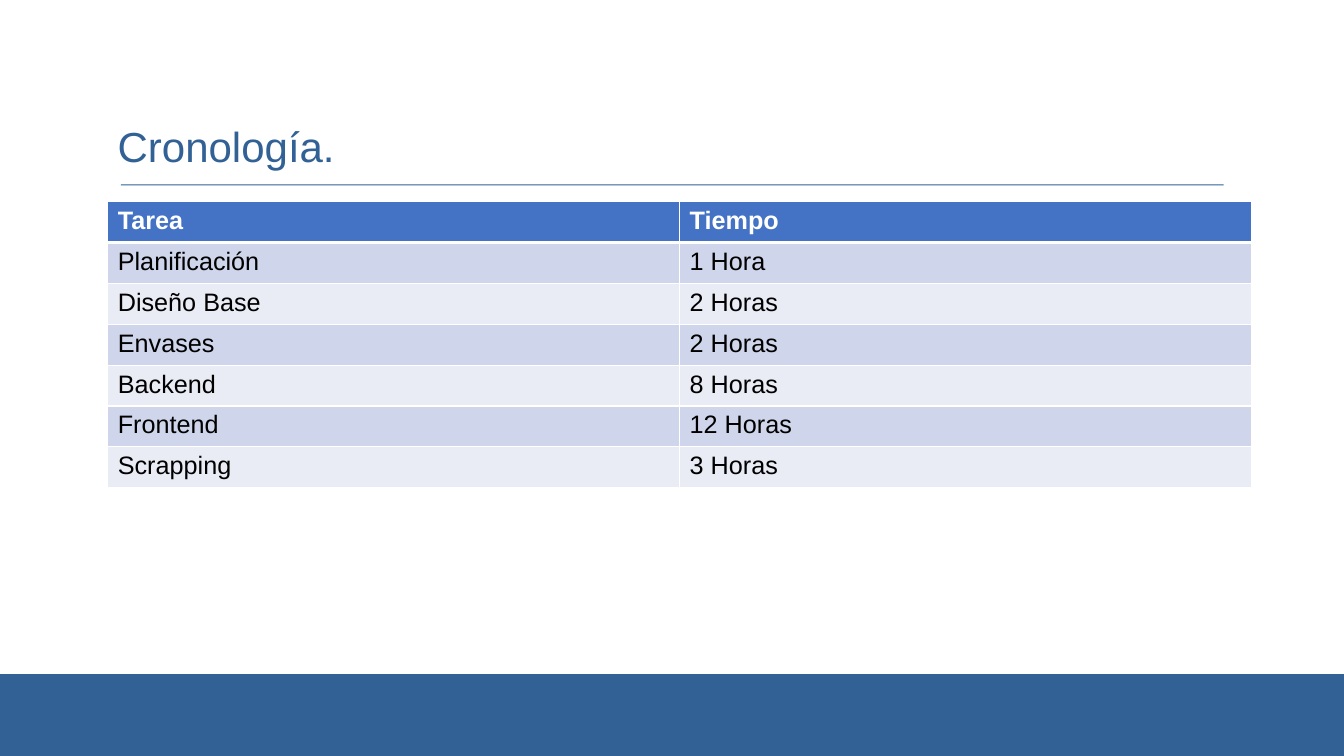
from typing import NamedTuple

from lxml.etree import SubElement
from pptx import Presentation
from pptx.dml.color import RGBColor
from pptx.enum.shapes import MSO_SHAPE as Shape
from pptx.enum.text import MSO_ANCHOR as Anchor
from pptx.oxml.ns import qn
from pptx.util import Pt

FONT = "Arial"
BLUE = "326195"
WHITE = "FFFFFF"
HEAD = "4472C4"
BANDS = ("CFD5EA", "E9EBF5")


class Box(NamedTuple):
    left: float
    top: float
    width: float
    height: float

    def pts(self):
        return [Pt(n) for n in self]


class Task(NamedTuple):
    name: str
    time: str


FOOTER = Box(0, 481.6, 960, 58.4)
RULE = Box(86.4, 131.7, 787.7, 0.8)
TITLE = Box(77, 43.9, 816.5, 82.1)
GRID = Box(77, 144, 817, 204.4)

TASKS = [
    Task("Tarea", "Tiempo"),
    Task("Planificación", "1 Hora"),
    Task("Diseño Base", "2 Horas"),
    Task("Envases", "2 Horas"),
    Task("Backend", "8 Horas"),
    Task("Frontend", "12 Horas"),
    Task("Scrapping", "3 Horas"),
]


def color(code: str) -> RGBColor:
    return RGBColor.from_string(code)


def style(par, size: float, code: str, bold: bool = False) -> None:
    for run in par.runs:
        run.font.name = FONT
        run.font.size = Pt(size)
        run.font.bold = bold
        run.font.color.rgb = color(code)


def add_bar(slide, box: Box) -> None:
    bar = slide.shapes.add_shape(Shape.RECTANGLE, *box.pts())
    bar.shadow.inherit = False
    bar.fill.solid()
    bar.fill.fore_color.rgb = color(BLUE)
    bar.line.fill.background()


def add_title(slide, box: Box, text: str) -> None:
    frame = slide.shapes.add_textbox(*box.pts()).text_frame
    frame.word_wrap = True
    frame.vertical_anchor = Anchor.BOTTOM
    frame.text = text
    par = frame.paragraphs[0]
    par.line_spacing = 0.9
    style(par, 30, BLUE)


def add_edges(cell, top: float, bottom: float) -> None:
    """Draw white borders; only top and bottom widths vary."""
    props = cell._tc.get_or_add_tcPr()
    for side, width in (("L", 1), ("R", 1), ("T", top), ("B", bottom)):
        edge = SubElement(props, qn(f"a:ln{side}"), w=str(Pt(width)))
        fill = SubElement(edge, qn("a:solidFill"))
        SubElement(fill, qn("a:srgbClr"), val=WHITE)


def add_grid(slide, box: Box, tasks: list[Task]) -> None:
    count = len(tasks)
    table = slide.shapes.add_table(count, 2, *box.pts()).table
    for col in table.columns:
        col.width = Pt(box.width / 2)
    for i, task in enumerate(tasks):
        table.rows[i].height = Pt(box.height / count)
        head = i == 0
        for j, text in enumerate(task):
            cell = table.cell(i, j)
            cell.text_frame.text = text
            style(cell.text_frame.paragraphs[0], 18,
                  WHITE if head else "000000", head)
            add_edges(cell, 3 if i == 1 else 1, 3 if head else 1)
            cell.fill.solid()
            cell.fill.fore_color.rgb = color(HEAD if head else BANDS[(i - 1) % 2])


def main() -> None:
    deck = Presentation()
    deck.slide_width, deck.slide_height = Pt(960), Pt(540)
    slide = deck.slides.add_slide(deck.slide_layouts[6])
    for box in (FOOTER, RULE):
        add_bar(slide, box)
    add_title(slide, TITLE, "Cronología.")
    add_grid(slide, GRID, TASKS)
    deck.save("out.pptx")


if __name__ == "__main__":
    main()
